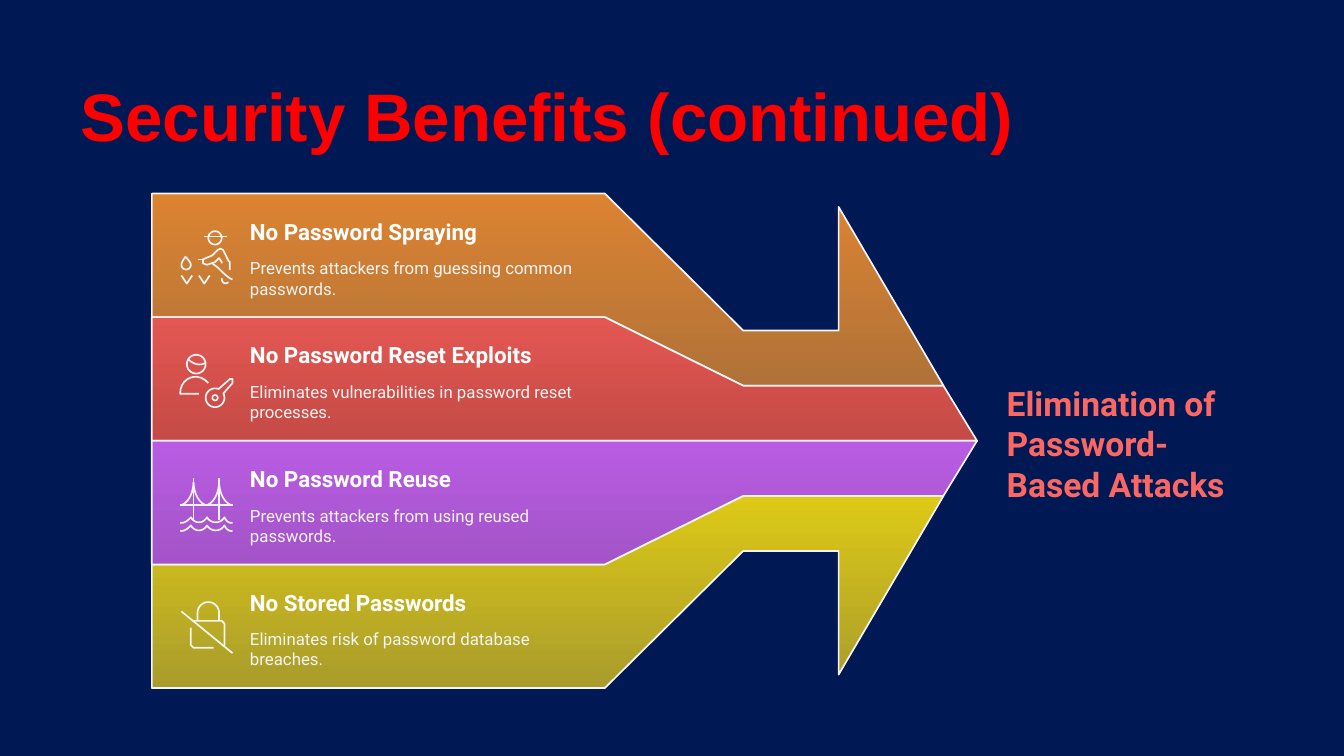
from math import cos, radians, sin

from pptx import Presentation
from pptx.dml.color import RGBColor
from pptx.enum.text import MSO_ANCHOR, MSO_AUTO_SIZE, PP_ALIGN
from pptx.util import Inches, Pt

TOP = MSO_ANCHOR.TOP
LEFT_ALIGN = PP_ALIGN.LEFT
GROW = MSO_AUTO_SIZE.SHAPE_TO_FIT_TEXT
TITLE_ONLY = 5

COLORS = {
    "background": "001853", "title": "FF0000", "outcome": "FB6762",
    "heading": "FFFFFF", "light": "F4F4F4",
}
GRADIENTS = {
    "orange": ("DC8331", "B07239"), "red": ("E45752", "C54A46"),
    "purple": ("B95CE3", "A354C7"), "yellow": ("DDC916", "A99C2C"),
}
BENEFITS = [
    ("No Password Spraying", 1.96,
     ["Prevents attackers from guessing common", "passwords."], 2.8),
    ("No Password Reset Exploits", 2.38,
     ["Eliminates vulnerabilities in password reset", "processes."], 2.86),
    ("No Password Reuse", 1.71,
     ["Prevents attackers from using reused", "passwords."], 2.45),
    ("No Stored Passwords", 1.87,
     ["Eliminates risk of password database", "breaches."], 2.45),
]

# Arrow geometry: four bands, mirrored about the middle
BAND_TOP, BAND_HEIGHT, MIDDLE = 1.44, 0.92, 3.28
LEFT, BEND, NECK, BARB, SIDE, TIP = 1.13, 4.5, 5.53, 6.24, 7.02, 7.27
OUTER_BAND = [(LEFT, 2.36), (LEFT, 1.44), (BEND, 1.44), (NECK, 2.46), (BARB, 2.46),
              (BARB, 1.54), (SIDE, 2.87), (NECK, 2.87), (BEND, 2.36)]
INNER_BAND = [(LEFT, 2.36), (BEND, 2.36), (NECK, 2.87), (SIDE, 2.87),
              (TIP, MIDDLE), (LEFT, MIDDLE)]


def rgb(name):
    return RGBColor.from_string(COLORS[name])


def mirror(points):
    return [(x, 2 * MIDDLE - y) for x, y in points]


def arc(x, y, radius, start=0, end=360, steps=24):
    angles = [radians(start + (end - start) * i / steps) for i in range(steps + 1)]
    return [(x + radius * cos(a), y + radius * sin(a)) for a in angles]


def curve(start, pull_a, pull_b, end, steps=10):
    """Points along a cubic curve."""
    points = []
    for i in range(steps + 1):
        t = i / steps
        weights = ((1 - t) ** 3, 3 * t * (1 - t) ** 2, 3 * t * t * (1 - t), t ** 3)
        points.append(tuple(sum(w * p[axis] for w, p in
                                zip(weights, (start, pull_a, pull_b, end)))
                            for axis in (0, 1)))
    return points


def add_outline(page, strokes, close=False):
    """Draw one freeform made of one or more strokes."""
    builder = None
    for stroke in strokes:
        points = [(Inches(x), Inches(y)) for x, y in stroke]
        if builder is None:
            builder = page.shapes.build_freeform(*points[0])
        else:
            builder.move_to(*points[0])
        builder.add_line_segments(points[1:], close=close)
    shape = builder.convert_to_shape()
    shape.shadow.inherit = False
    shape.fill.background()
    shape.line.color.rgb = rgb("light")
    shape.line.width = Pt(0.92)
    return shape


def add_band(page, points, gradient):
    band = add_outline(page, [points], close=True)
    band.fill.gradient()
    band.fill.gradient_angle = 270
    for stop, color, position in zip(band.fill.gradient_stops, GRADIENTS[gradient], (0, 1)):
        stop.color.rgb = RGBColor.from_string(color)
        stop.position = position


def write(frame, lines, size, font, color, bold=False):
    frame.word_wrap = False
    frame.auto_size = GROW
    frame.vertical_anchor = TOP
    para = frame.paragraphs[0]
    para.alignment = LEFT_ALIGN
    for index, line in enumerate(lines):
        if index:
            para.add_line_break()
        span = para.add_run()
        span.text = line
        span.font.size = Pt(size)
        span.font.name = font
        span.font.bold = bold
        span.font.color.rgb = rgb(color)


def add_text(page, left, top, width, height, lines, size, color, bold=False):
    box = page.shapes.add_textbox(Inches(left), Inches(top), Inches(width), Inches(height))
    frame = box.text_frame
    frame.margin_left = frame.margin_right = frame.margin_top = frame.margin_bottom = 0
    write(frame, lines, size, "Roboto", color, bold)


def add_title(page, text):
    title = page.shapes.title
    title.left, title.top = Inches(0.5), Inches(0.5)
    title.width, title.height = Inches(9), Inches(1.5)
    write(title.text_frame, [text], 36, "Arial", "title", bold=True)


def sower_icon():
    drop = (curve((1.38, 1.91), (1.38, 1.91), (1.42, 1.95), (1.42, 1.97))
            + arc(1.385, 1.97, 0.035, 0, 180)
            + curve((1.35, 1.97), (1.35, 1.95), (1.38, 1.91), (1.38, 1.91)))
    body = [(1.65, 1.96), (1.65, 1.95), (1.63, 1.92), (1.6, 1.95), (1.54, 1.97),
            (1.51, 1.96), (1.51, 1.93), (1.58, 1.9), (1.62, 1.86), (1.64, 1.85),
            (1.66, 1.86), (1.7, 1.94), (1.71, 1.95), (1.71, 2.01)]
    leg = curve((1.73, 2.08), (1.7, 2.07), (1.65, 2.02), (1.62, 1.99)) + [(1.58, 1.96)]
    foot = curve((1.65, 2.07), (1.65, 2.1), (1.67, 2.12), (1.7, 2.1))
    sprouts = [[(x, 2.05), (x + 0.04, 2.11), (x + 0.08, 2.05)] for x in (1.35, 1.48)]
    return [arc(1.6, 1.77, 0.05), [(1.52, 1.76), (1.69, 1.76)], body, leg, foot,
            [(1.47, 1.93), (1.51, 1.93)], drop, *sprouts]


def user_key_icon():
    shoulders = ([(1.48, 2.93), (1.34, 2.93)]
                 + curve((1.34, 2.93), (1.34, 2.81), (1.47, 2.76), (1.55, 2.85)))
    hair = curve((1.4, 2.67), (1.42, 2.7), (1.48, 2.73), (1.53, 2.7))
    key = arc(1.6, 2.96, 0.07, -25, 292) + [
        (1.7, 2.83), (1.71, 2.82), (1.73, 2.82), (1.73, 2.85), (1.66, 2.93)]
    return [arc(1.46, 2.71, 0.07), hair, shoulders, key, arc(1.6, 2.96, 0.02)]


def bridge_icon():
    strokes = [[(1.34, 3.76), (1.73, 3.76)]]
    for y in (3.91, 3.85):
        wave = curve((1.34, y + 0.04), (1.38, y + 0.05), (1.42, y), (1.42, y))
        for start, end in ((1.42, 1.54), (1.54, 1.67)):
            wave += curve((start, y), (start + 0.03, y + 0.05), (end - 0.03, y + 0.05), (end, y))
        wave += curve((1.67, y), (1.67, y), (1.69, y + 0.05), (1.73, y + 0.04))
        strokes.append(wave)
    for x in (1.44, 1.63):
        strokes.append([(x, 3.87), (x, 3.56)])
        for side in (-0.09, 0.09):
            strokes.append(curve((x + side, 3.76), (x, 3.72), (x, 3.59), (x, 3.59)))
    return strokes


def no_lock_icon():
    shackle = [(1.47, 4.62)] + arc(1.55, 4.56, 0.08, 180, 360) + [(1.63, 4.62)]
    body_right = [(1.44, 4.62), (1.65, 4.62), (1.67, 4.64), (1.67, 4.8), (1.66, 4.81)]
    body_left = [(1.59, 4.82), (1.44, 4.82), (1.42, 4.8), (1.42, 4.67)]
    return [shackle, body_right, body_left, [(1.35, 4.55), (1.73, 4.86)]]


def main():
    deck = Presentation()
    deck.slide_width = Inches(10)
    deck.slide_height = deck.slide_width * 9 // 16
    page = deck.slides.add_slide(deck.slide_layouts[TITLE_ONLY])
    page.background.fill.solid()
    page.background.fill.fore_color.rgb = rgb("background")
    add_title(page, "Security Benefits (continued)")

    # Arrow bands
    add_band(page, mirror(OUTER_BAND), "yellow")
    add_band(page, OUTER_BAND, "orange")
    add_band(page, INNER_BAND, "red")
    add_band(page, mirror(INNER_BAND), "purple")

    # Benefit texts and the outcome
    for row, (heading, heading_width, lines, width) in enumerate(BENEFITS):
        top = BAND_TOP + row * BAND_HEIGHT
        add_text(page, 1.86, top + 0.18, heading_width, 0.25, [heading], 12, "heading", True)
        add_text(page, 1.86, top + 0.48, width, 0.36, lines, 9, "light")
    add_text(page, 7.49, 2.85, 1.83, 1.07,
             ["Elimination of", "Password-", "Based Attacks"], 18, "outcome", True)

    # Line icons
    for strokes in (sower_icon(), user_key_icon(), bridge_icon(), no_lock_icon()):
        add_outline(page, strokes)
    deck.save("out.pptx")


if __name__ == "__main__":
    main()
